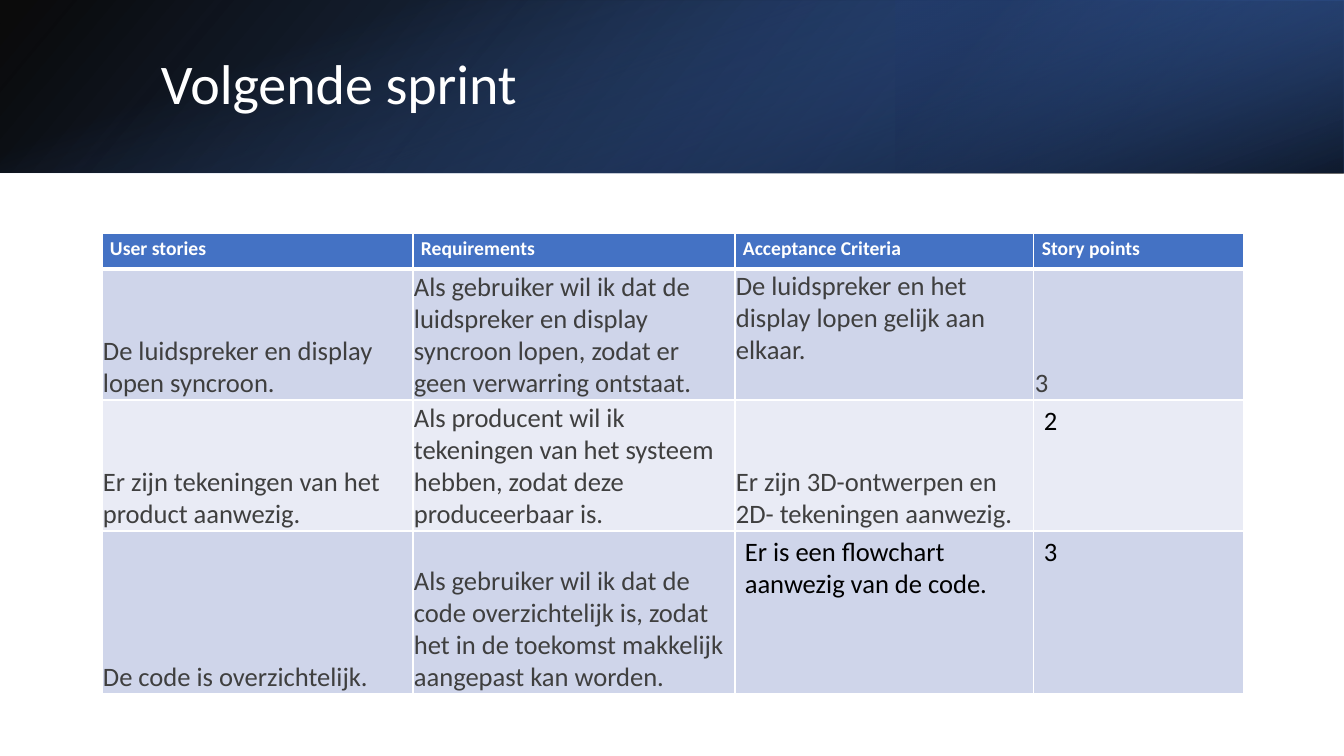
"""Builds the slide with the backlog table for the next sprint."""
import pptx
import pptx.dml.color
import pptx.enum.shapes
import pptx.enum.text
import pptx.oxml
import pptx.oxml.ns
import pptx.util

EMU_PER_PX = 914400 / 100.8
MIDDLE = pptx.enum.text.MSO_ANCHOR.MIDDLE
TOP = pptx.enum.text.MSO_ANCHOR.TOP
BOTTOM = pptx.enum.text.MSO_ANCHOR.BOTTOM

BANNER = [
    dict(box=(0, 0, 1344, 173), rotation=0, flip=True, angle=140,
         stops=[(0, "000000", 96), (100, "2F5597", 100)]),
    dict(box=(896, 0, 448, 173), rotation=180, flip=True, angle=320,
         stops=[(19, "203864", 68), (100, "4472C4", 79)]),
    dict(box=(585, -585, 173, 1344), rotation=90, flip=False, angle=340,
         stops=[(23, "4472C4", 0), (99, "000000", 74)]),
]

COLUMN_WIDTHS = [311, 322, 299, 210]
ROW_HEIGHTS = [36, 131, 131, 163]
BACKLOG = [
    ["User stories", "Requirements", "Acceptance Criteria", "Story points"],
    ["De luidspreker en display lopen syncroon.",
     "Als gebruiker wil ik dat de luidspreker en display syncroon lopen, "
     "zodat er geen verwarring ontstaat.",
     "De luidspreker en het display lopen gelijk aan elkaar.", "3"],
    ["Er zijn tekeningen van het product aanwezig.",
     "Als producent wil ik tekeningen van het systeem hebben, "
     "zodat deze produceerbaar is.",
     "Er zijn 3D-ontwerpen en 2D- tekeningen aanwezig.", "2"],
    ["De code is overzichtelijk.",
     "Als gebruiker wil ik dat de code overzichtelijk is, "
     "zodat het in de toekomst makkelijk aangepast kan worden.",
     "Er is een flowchart aanwezig van de code.", "3"],
]
ROW_FILLS = ["4472C4", "CFD5EA", "E9EBF5", "CFD5EA"]

HEADING = dict(font=dict(size=14, bold=True), color="FFFFFF",
               anchor=TOP, margins=(8, 4, 8, 4))
PASTED = dict(font=dict(size=19, bold=False), color="3F3F3F",
              anchor=BOTTOM, margins=(1, 1, 1, 0))
TYPED = dict(PASTED, color="000000", anchor=TOP, margins=(10, 5, 10, 5))
SPECIAL_FORMATS = {(1, 2): dict(PASTED, anchor=TOP),
                   (2, 3): TYPED, (3, 2): TYPED, (3, 3): TYPED}


def px(length):
    """Turn pixels into EMU."""
    return pptx.util.Emu(round(length * EMU_PER_PX))


def rgb(value):
    """Turn a hex string into a colour."""
    return pptx.dml.color.RGBColor.from_string(value)


def set_values(target, values):
    """Set every attribute in a dict of format values."""
    for name, value in values.items():
        setattr(target, name, value)


def write(paragraph, text, color, size, bold=False):
    """Write one run of formatted text."""
    run = paragraph.add_run()
    run.text = text
    set_values(run.font, dict(name="Calibri", size=pptx.util.Pt(size), bold=bold))
    run.font.color.rgb = rgb(color)


def add_gradient(slide, box, rotation, flip, angle, stops):
    """Add one translucent gradient layer of the banner."""
    layer = slide.shapes.add_shape(
        pptx.enum.shapes.MSO_SHAPE.RECTANGLE, *map(px, box))
    layer.rotation = rotation
    layer.shadow.inherit = False
    layer.line.fill.background()
    layer.fill.gradient()
    layer.fill.gradient_angle = (360 - angle) % 360
    properties = layer._element.spPr
    if flip:
        properties.find(pptx.oxml.ns.qn("a:xfrm")).set("flipH", "1")
    for stop, (position, color, _) in zip(layer.fill.gradient_stops, stops):
        stop.position = position / 100
        stop.color.rgb = rgb(color)
    tints = properties.iter(pptx.oxml.ns.qn("a:srgbClr"))
    for tint, (_, _, opacity) in zip(tints, stops):
        tint.append(pptx.oxml.parse_xml(
            f'<a:alpha {pptx.oxml.ns.nsdecls("a")} val="{opacity * 1000}"/>'))


def add_title(slide, text):
    """Add the slide title over the banner."""
    frame = slide.shapes.add_textbox(*map(px, (151, 38, 1107, 97))).text_frame
    set_values(frame, dict(word_wrap=True, vertical_anchor=MIDDLE))
    frame.paragraphs[0].line_spacing = 0.9
    write(frame.paragraphs[0], text, "FFFFFF", 40)


def add_borders(cell, widths):
    """Draw white cell borders with a width in points for each side."""
    properties = cell._tc.get_or_add_tcPr()
    for index, (side, width) in enumerate(widths.items()):
        properties.insert(index, pptx.oxml.parse_xml(
            f'<a:ln{side} {pptx.oxml.ns.nsdecls("a")} w="{pptx.util.Pt(width)}">'
            f'<a:solidFill><a:srgbClr val="FFFFFF"/></a:solidFill></a:ln{side}>'))


def fill_cell(cell, text, fill, style, borders):
    """Give a table cell its text, colours, margins and borders."""
    sides = ("margin_left", "margin_top", "margin_right", "margin_bottom")
    set_values(cell, dict(zip(sides, map(px, style["margins"]))))
    cell.vertical_anchor = style["anchor"]
    cell.fill.solid()
    cell.fill.fore_color.rgb = rgb(fill)
    write(cell.text_frame.paragraphs[0], text, style["color"], **style["font"])
    add_borders(cell, borders)


def add_backlog(slide):
    """Add the table of user stories."""
    table = slide.shapes.add_table(
        len(ROW_HEIGHTS), len(COLUMN_WIDTHS), px(102), px(233),
        px(sum(COLUMN_WIDTHS)), px(sum(ROW_HEIGHTS))).table
    for column, width in zip(table.columns, COLUMN_WIDTHS):
        column.width = px(width)
    for row, height in zip(table.rows, ROW_HEIGHTS):
        row.height = px(height)
    for r, texts in enumerate(BACKLOG):
        usual = HEADING if r == 0 else PASTED
        borders = dict(L=1, R=1, T=3 if r == 1 else 1, B=3 if r == 0 else 1)
        for c, text in enumerate(texts):
            style = SPECIAL_FORMATS.get((r, c), usual)
            fill_cell(table.cell(r, c), text, ROW_FILLS[r], style, borders)


def main():
    """Build and save the presentation."""
    deck = pptx.Presentation()
    set_values(deck, dict(slide_width=px(1344), slide_height=px(756)))
    slide = deck.slides.add_slide(deck.slide_layouts[6])
    for layer in BANNER:
        add_gradient(slide, **layer)
    add_title(slide, "Volgende sprint")
    add_backlog(slide)
    deck.save("out.pptx")


if __name__ == "__main__":
    main()
